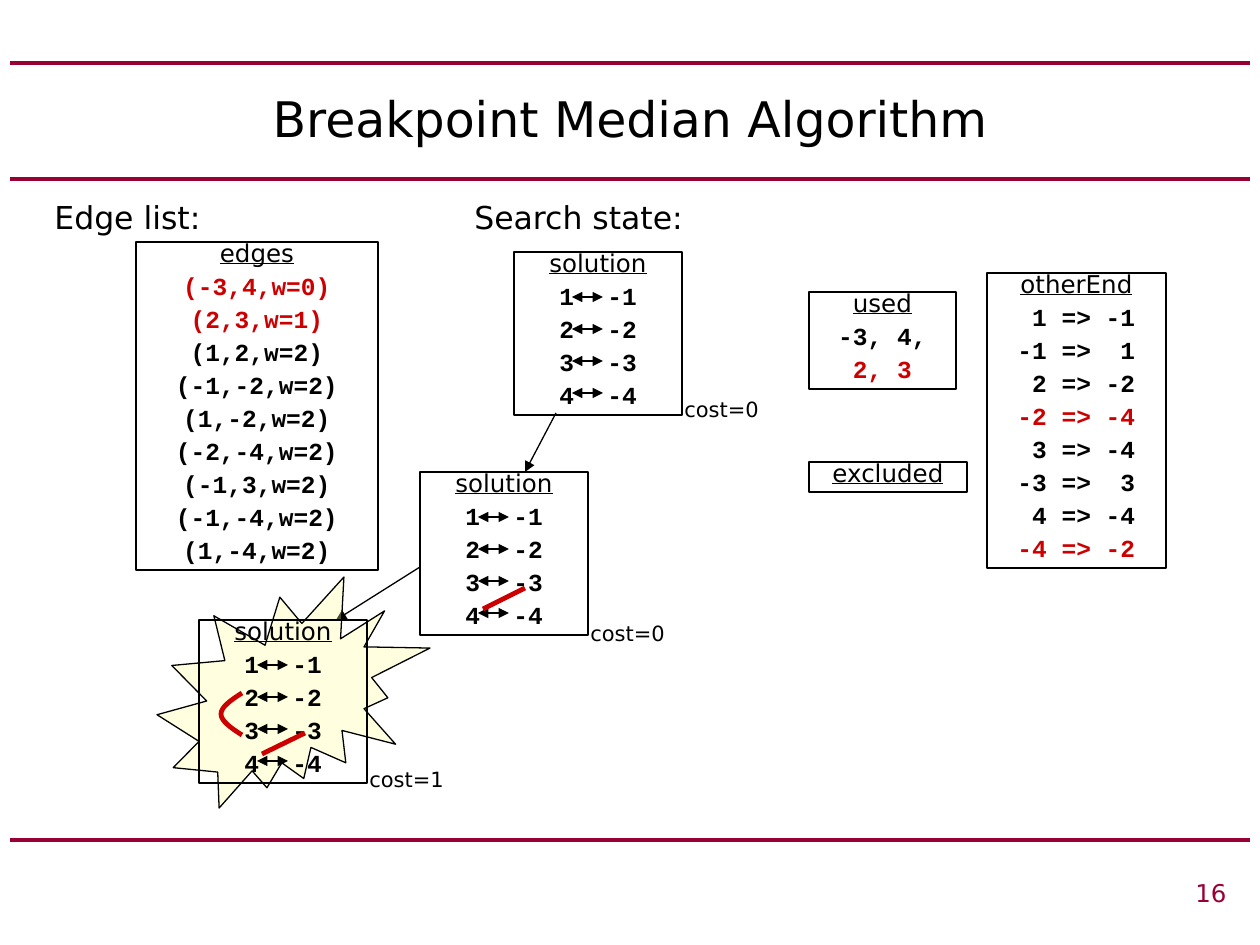
from dataclasses import dataclass

from lxml.etree import SubElement
from pptx import Presentation
from pptx.dml.color import RGBColor
from pptx.enum.shapes import MSO_CONNECTOR as Connector, MSO_SHAPE as Preset
from pptx.enum.text import MSO_ANCHOR as Anchor, MSO_AUTO_SIZE as AutoSize, PP_ALIGN as Align
from pptx.oxml.ns import qn
from pptx.util import Pt

EMU_PER_PX = 914400 / 126
COLORS = {"ink": "000000", "rule": "990033", "new": "CC0000", "burst": "FFFF99"}
SANS, MONO = "DejaVu Sans", "Courier New"
TAB_STOPS = (0, 48, 126, 252, 378, 504, 630, 756)


@dataclass(frozen=True)
class ListBox:
    heading: str
    left: int
    top: int
    width: int
    height: int
    rows: tuple[str, ...] = ()
    new_rows: tuple[int, ...] = ()


@dataclass(frozen=True)
class Solution:
    left: int
    top: int
    cost: int
    cost_drop: int


@dataclass(frozen=True)
class Label:
    text: str
    left: int
    top: int
    width: int
    height: int
    size: int
    color: str = "ink"
    align: Align = Align.LEFT
    anchor: Anchor = Anchor.TOP
    spacing: float = 1.0
    grows: bool = True


LISTS = (
    ListBox("used", 809, 292, 147, 97, ("-3, 4,", "2, 3"), (1,)),
    ListBox("otherEnd", 987, 273, 179, 295,
            (" 1 => -1", "-1 =>  1", " 2 => -2", "-2 => -4", " 3 => -4",
             "-3 =>  3", " 4 => -4", "-4 => -2"), (3, 7)),
    ListBox("edges", 136, 242, 242, 328,
            ("(-3,4,w=0)", "(2,3,w=1)", "(1,2,w=2)", "(-1,-2,w=2)", "(1,-2,w=2)",
             "(-2,-4,w=2)", "(-1,3,w=2)", "(-1,-4,w=2)", "(1,-4,w=2)"), (0, 1)),
    ListBox("excluded", 809, 462, 158, 30),
)
SOLUTIONS = (
    Solution(514, 252, 0, 147),
    Solution(420, 472, 0, 151),
    Solution(199, 620, 1, 149),
)
LABELS = (
    Label("Breakpoint Median Algorithm", 63, 63, 1134, 110, 28,
          align=Align.CENTER, anchor=Anchor.MIDDLE, grows=False),
    Label("Edge list:", 42, 192, 357, 50, 18),
    Label("Search state:", 462, 192, 357, 50, 18),
    Label("16", 357, 872, 882, 42, 14, color="rule", align=Align.RIGHT, grows=False),
)


def px(length: float) -> int:
    return round(length * EMU_PER_PX)


def rgb(color: str) -> RGBColor:
    return RGBColor.from_string(COLORS[color])


def write(frame, text: str, *, size: float = 14, font: str = SANS, color: str = "ink",
          bold: bool = False, underline: bool = False, align: Align = Align.CENTER,
          spacing: float = 0.6, before: float = 8.8) -> None:
    """Add one formatted paragraph, filling the empty first one if there is one."""
    first = frame.paragraphs[0]
    paragraph = frame.add_paragraph() if first.runs else first
    paragraph.alignment = align
    paragraph.line_spacing = spacing
    paragraph.space_before = Pt(before)
    if "\t" in text:
        stops = SubElement(paragraph._p.get_or_add_pPr(), qn("a:tabLst"))
        for stop in TAB_STOPS:
            SubElement(stops, qn("a:tab"), pos=str(px(stop)), algn="l")
    run = paragraph.add_run()
    run.text = text
    run.font.name = font
    run.font.size = Pt(size)
    run.font.bold = bold
    run.font.underline = underline
    run.font.color.rgb = rgb(color)


def draw_line(slide, start: tuple[int, int], end: tuple[int, int], *, color: str = "ink",
              weight: float = 0.75, ends: tuple[str, ...] = ()) -> None:
    line = slide.shapes.add_connector(Connector.STRAIGHT, *map(px, start + end))
    line.line.color.rgb = rgb(color)
    line.line.width = Pt(weight)
    outline = line.line._get_or_add_ln()
    for end_name in ends:
        SubElement(outline, qn(f"a:{end_name}"), type="triangle")
    SubElement(line._element.spPr, qn("a:effectLst"))


def draw_list(slide, box: ListBox) -> None:
    frame_box = slide.shapes.add_shape(
        Preset.RECTANGLE, *map(px, (box.left, box.top, box.width, box.height)))
    frame_box.shadow.inherit = False
    frame_box.fill.background()
    frame_box.line.color.rgb = rgb("ink")
    frame_box.line.width = Pt(0.75)
    frame = frame_box.text_frame
    frame.word_wrap = True
    frame.auto_size = AutoSize.SHAPE_TO_FIT_TEXT
    frame.vertical_anchor = Anchor.TOP
    write(frame, box.heading, underline=True)
    for index, row in enumerate(box.rows):
        write(frame, row, font=MONO, bold=True,
              color="new" if index in box.new_rows else "ink")


def draw_label(slide, label: Label) -> None:
    holder = slide.shapes.add_textbox(
        *map(px, (label.left, label.top, label.width, label.height)))
    frame = holder.text_frame
    frame.word_wrap = True
    frame.auto_size = AutoSize.SHAPE_TO_FIT_TEXT if label.grows else AutoSize.NONE
    frame.vertical_anchor = label.anchor
    write(frame, label.text, size=label.size, color=label.color, align=label.align,
          spacing=label.spacing, before=0)


def draw_solution(slide, solution: Solution) -> None:
    left, top = solution.left, solution.top
    genes = range(1, 5)
    draw_list(slide, ListBox("solution", left, top, 168, 163,
                             tuple(f"{gene}\t-{gene}" for gene in genes)))
    for gene in genes:
        row = top + 13 + 32 * gene
        draw_line(slide, (left + 58, row), (left + 89, row), ends=("headEnd", "tailEnd"))
    draw_label(slide, Label(f"cost={solution.cost}", left + 158, top + solution.cost_drop,
                            116, 28, 12, spacing=0.6))


def draw_burst(slide) -> None:
    burst = slide.shapes.add_shape(Preset.EXPLOSION2, *map(px, (157, 577, 273, 231)))
    burst.shadow.inherit = False
    burst.fill.solid()
    burst.fill.fore_color.rgb = rgb("burst")
    tint = burst._element.spPr.find(f".//{qn('a:srgbClr')}")
    SubElement(tint, qn("a:alpha"), val="30000")
    burst.line.color.rgb = rgb("ink")
    burst.line.width = Pt(0.75)


def draw_joining_curve(slide) -> None:
    """Join 2 and 3 by a bow made of two cubic curves."""
    builder = slide.shapes.build_freeform(21, 0, scale=EMU_PER_PX)
    builder.add_line_segments([(0, 21), (21, 42)], close=False)
    curve = builder.convert_to_shape(px(221), px(693))
    curve.shadow.inherit = False
    curve.fill.background()
    curve.line.color.rgb = rgb("new")
    curve.line.width = Pt(2.75)
    bows = (((10, 7), (0, 14), (0, 21)), ((0, 28), (10, 35), (21, 42)))
    segments = list(curve._element.iter(qn("a:lnTo")))
    for segment, points in zip(segments, bows):
        segment.tag = qn("a:cubicBezTo")
        segment.remove(segment[0])
        for x, y in points:
            SubElement(segment, qn("a:pt"), x=str(x), y=str(y))


def main() -> None:
    deck = Presentation()
    deck.slide_width, deck.slide_height = px(1260), px(945)
    slide = deck.slides.add_slide(deck.slide_layouts[6])

    for height in (840, 179, 63):
        draw_line(slide, (10, height), (1250, height), color="rule", weight=2.25)
    for box in LISTS:
        draw_list(slide, box)
    draw_line(slide, (420, 567), (336, 620), ends=("tailEnd",))
    draw_burst(slide)
    for solution in SOLUTIONS:
        draw_solution(slide, solution)
    draw_line(slide, (556, 413), (525, 472), ends=("tailEnd",))
    for start, end in (((305, 733), (262, 754)), ((525, 588), (483, 609))):
        draw_line(slide, start, end, color="new", weight=2.75)
    draw_joining_curve(slide)
    for label in LABELS:
        draw_label(slide, label)

    deck.save("out.pptx")


if __name__ == "__main__":
    main()
